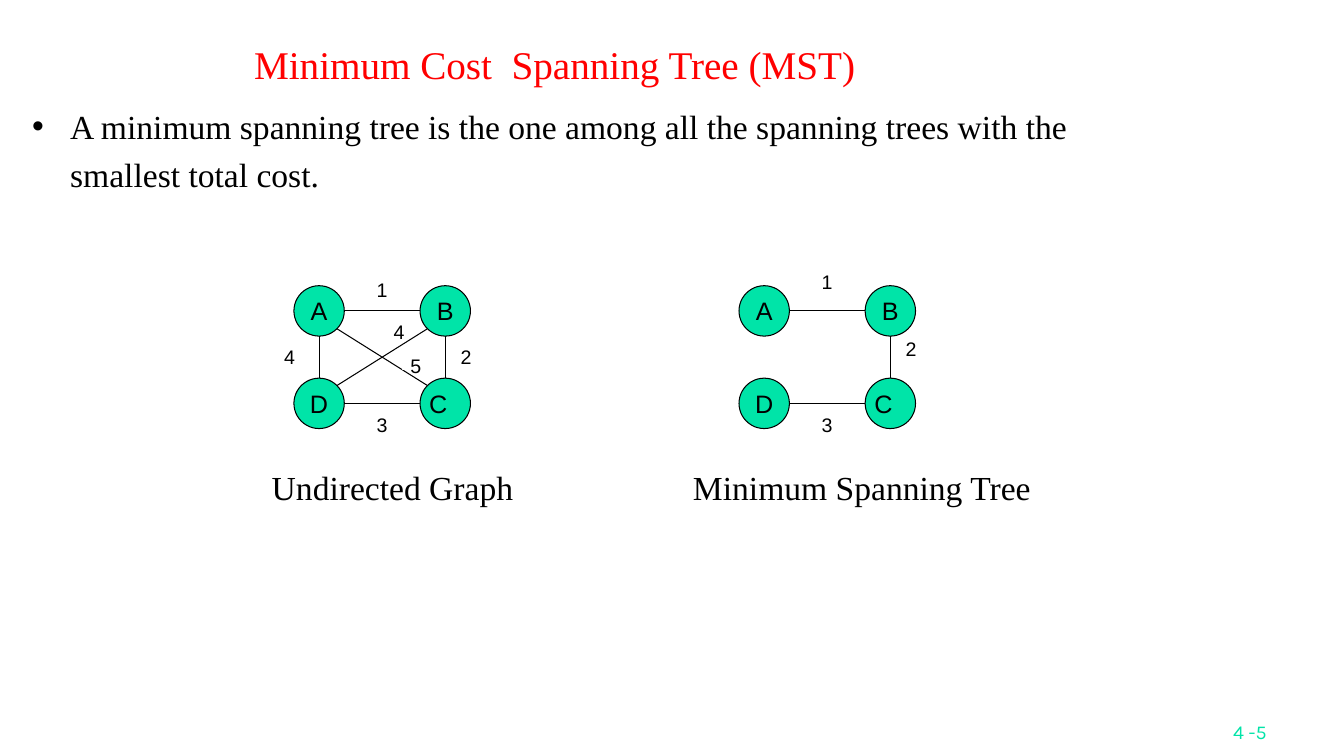
from math import hypot

from lxml.etree import SubElement
from pptx import Presentation
from pptx.dml.color import RGBColor
from pptx.enum.shapes import MSO_CONNECTOR, MSO_SHAPE
from pptx.enum.text import MSO_ANCHOR, PP_ALIGN
from pptx.oxml.ns import qn
from pptx.util import Cm, Pt

BLACK = RGBColor(0x00, 0x00, 0x00)
WHITE = RGBColor(0xFF, 0xFF, 0xFF)
RED = RGBColor(0xFF, 0x00, 0x00)
GREEN = RGBColor(0x00, 0xE4, 0xA8)
SERIF, SANS = "Times New Roman", "Arial"

NODE = 1.27
STEP_X, STEP_Y = 3.18, 2.33
NODES = {"A": (0, 0), "B": (1, 0), "C": (1, 1), "D": (0, 1)}
LABEL, FLAT_LABEL = 0.64, 0.21

GRAPHS = [
    {
        "box": (7.41, 7.2),
        "edges": ["AD", "AB", "DC", "BC", "DB", "AC"],
        "weights": [
            ("1", 2.22, 0.11, LABEL), ("2", 4.34, 1.8, LABEL),
            ("3", 2.22, 3.49, LABEL), ("4", -0.11, 1.8, LABEL),
            ("4", 2.65, 1.16, FLAT_LABEL), ("5", 3.07, 2.01, FLAT_LABEL),
        ],
        "caption": ("Undirected Graph", 6.6, 8),
    },
    {
        "box": (18.63, 7.2),
        "edges": ["AB", "DC", "BC"],
        "weights": [
            ("1", 2.22, -0.11, LABEL), ("2", 4.34, 1.59, LABEL),
            ("3", 2.22, 3.49, LABEL),
        ],
        "caption": ("Minimum Spanning Tree", 17.22, 9.86),
    },
]


def set_font(paragraph, name, size, color):
    """Format all the text of a paragraph."""
    paragraph.font.name = name
    paragraph.font.size = Pt(size)
    paragraph.font.color.rgb = color


def add_title(slide, left, top, width, height):
    """Place the title placeholder in the given box."""
    title = slide.shapes.title
    title.left, title.top, title.width, title.height = map(Cm, (left, top, width, height))
    title.text_frame.text = "Minimum Cost  Spanning Tree (MST)"
    title.text_frame.vertical_anchor = MSO_ANCHOR.BOTTOM
    paragraph = title.text_frame.paragraphs[0]
    paragraph.alignment = PP_ALIGN.LEFT
    set_font(paragraph, SERIF, 28, RED)


def add_text(slide, text, left, top, width, height):
    """Add a wrapped text box in black serif and return it."""
    box = slide.shapes.add_textbox(*map(Cm, (left, top, width, height)))
    box.text_frame.word_wrap = True
    box.text_frame.text = text
    set_font(box.text_frame.paragraphs[0], SERIF, 24, BLACK)
    return box


def add_definition(slide, left, top, width, height):
    """Add the bulleted definition."""
    box = slide.shapes.add_textbox(*map(Cm, (left, top, width, height)))
    box.text_frame.word_wrap = True
    paragraph = box.text_frame.paragraphs[0]
    paragraph.text = ("A minimum spanning tree is the one among all the spanning trees "
                      "with the smallest total cost.")
    properties = paragraph._p.get_or_add_pPr()
    properties.set("marL", str(Cm(0.96)))
    properties.set("indent", str(-Cm(0.96)))
    bullet_color = SubElement(properties, qn("a:buClr"))
    SubElement(bullet_color, qn("a:srgbClr"), val=str(BLACK))
    SubElement(properties, qn("a:buFont"), typeface=SANS)
    SubElement(properties, qn("a:buChar"), char="•")
    paragraph.line_spacing = 1.2
    set_font(paragraph, SERIF, 24, BLACK)


def add_marker(slide, kind, text, center, size, fill, line, font_size):
    """Add a filled shape with centred text around a centre point."""
    (x, y), (width, height) = center, size
    shape = slide.shapes.add_shape(
        kind, Cm(x - width / 2), Cm(y - height / 2), Cm(width), Cm(height))
    shape.shadow.inherit = False
    shape.fill.solid()
    shape.fill.fore_color.rgb = fill
    shape.line.color.rgb = line
    shape.line.width = Pt(0.75)
    frame = shape.text_frame
    frame.margin_left = frame.margin_right = frame.margin_top = frame.margin_bottom = 0
    frame.word_wrap = False
    frame.vertical_anchor = MSO_ANCHOR.MIDDLE
    frame.text = text
    frame.paragraphs[0].alignment = PP_ALIGN.CENTER
    set_font(frame.paragraphs[0], SANS, font_size, BLACK)
    return shape


def add_edge(slide, start, end):
    """Draw an edge between two node centres, ending at the circles."""
    (x1, y1), (x2, y2) = start, end
    across, down = (x2 > x1) - (x2 < x1), (y2 > y1) - (y2 < y1)
    reach = NODE / 2 / hypot(across, down)
    edge = slide.shapes.add_connector(
        MSO_CONNECTOR.STRAIGHT,
        Cm(x1 + across * reach), Cm(y1 + down * reach),
        Cm(x2 - across * reach), Cm(y2 - down * reach))
    edge.line.color.rgb = BLACK
    edge.line.width = Pt(0.75)
    SubElement(edge._element.spPr, qn("a:effectLst"))


def add_graph(slide, box, edges, weights, caption):
    """Draw the nodes, edges, weights and caption of one graph."""
    left, top = box
    centers = {
        name: (left + NODE / 2 + column * STEP_X, top + NODE / 2 + row * STEP_Y)
        for name, (column, row) in NODES.items()
    }
    for name, center in centers.items():
        node = add_marker(slide, MSO_SHAPE.OVAL, name, center, (NODE, NODE), GREEN, BLACK, 18)
        if name == "C":
            node.text_frame.margin_right = Cm(0.35)
    for start, end in edges:
        add_edge(slide, centers[start], centers[end])
    for weight, x, y, height in weights:
        add_marker(slide, MSO_SHAPE.RECTANGLE, weight, (left + x, top + y),
                   (LABEL, height), WHITE, WHITE, 14)
    text, caption_left, width = caption
    add_text(slide, text, caption_left, top + 4.44, width, NODE)


def add_page_number(slide, left, top, width, height):
    """Add the page number at the bottom right of its box."""
    box = add_text(slide, "4 -5", left, top, width, height)
    box.text_frame.vertical_anchor = MSO_ANCHOR.BOTTOM
    paragraph = box.text_frame.paragraphs[0]
    paragraph.alignment = PP_ALIGN.RIGHT
    set_font(paragraph, "Karla", 14, GREEN)


def main():
    """Build and save the slide."""
    presentation = Presentation()
    presentation.slide_width, presentation.slide_height = Cm(33.88), Cm(19.05)
    slide = presentation.slides.add_slide(presentation.slide_layouts[5])
    add_title(slide, 6.15, 0.43, 21.6, 1.9)
    add_definition(slide, 0.56, 2.33, 28.22, 3.38)
    for graph in GRAPHS:
        add_graph(slide, **graph)
    add_page_number(slide, 25.12, 17.58, 7.06, 1.27)
    presentation.save("out.pptx")


if __name__ == "__main__":
    main()
